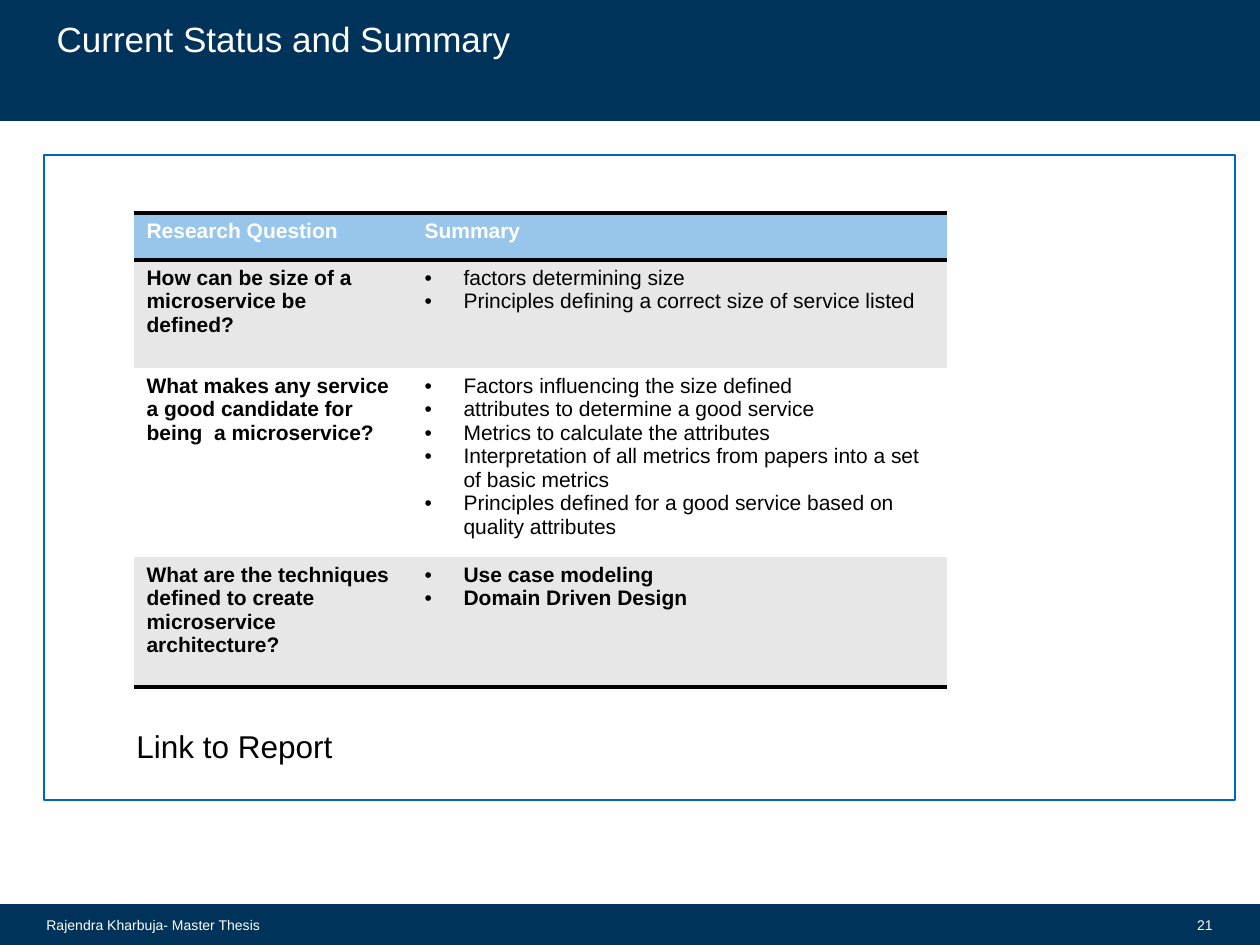
import pptx
import pptx.dml.color
import pptx.enum.shapes
import pptx.enum.text
import pptx.oxml
import pptx.oxml.ns
import pptx.util

RGB = pptx.dml.color.RGBColor
ANCHOR = pptx.enum.text.MSO_ANCHOR
ALIGN = pptx.enum.text.PP_ALIGN

NAVY = RGB(0x00, 0x33, 0x59)
BLUE = RGB(0x00, 0x65, 0xBD)
SKY = RGB(0x98, 0xC6, 0xEA)
GREY = RGB(0xE7, 0xE7, 0xE7)
WHITE = RGB(0xFF, 0xFF, 0xFF)
BLACK = RGB(0x00, 0x00, 0x00)

PX_PER_INCH = 126
WIDTH, HEIGHT = 1260, 945
FONT = "Arial"
NAMESPACE = pptx.oxml.ns.nsdecls("a")

TITLE = "Current Status and Summary"
AUTHOR = "Rajendra Kharbuja- Master Thesis"
PAGE = "21"
REPORT = "Link to Report"
HEADINGS = ("Research Question", "Summary")
# question, summary points, whether the points are bold
FINDINGS = [
    ("How can be size of a microservice be defined?",
     ["factors determining size",
      "Principles defining a correct size of service listed"], False),
    ("What makes any service a good candidate for being  a microservice?",
     ["Factors influencing the size defined",
      "attributes to determine a good service",
      "Metrics to calculate the attributes",
      "Interpretation of all metrics from papers into a set of basic metrics",
      "Principles defined for a good service based on quality attributes"], False),
    ("What are the techniques defined to create microservice architecture?",
     ["Use case modeling", "Domain Driven Design"], True),
]
TABLE_LEFT, TABLE_TOP = 134, 213
COLUMN_WIDTHS = (278, 535)
ROW_HEIGHTS = (47, 108, 177, 130)
BULLET_INDENT = 39


def px(length):
    return round(length * pptx.util.Inches(1) / PX_PER_INCH)


def box(*lengths):
    return [px(length) for length in lengths]


def write(paragraph, words, size, color, bold=False):
    run = paragraph.add_run()
    run.text = words
    run.font.name = FONT
    run.font.size = pptx.util.Pt(size)
    run.font.bold = bold
    run.font.color.rgb = color
    # The paragraph end takes the size too, so it cannot stretch the line
    paragraph._p.append(pptx.oxml.parse_xml(
        f'<a:endParaRPr {NAMESPACE} sz="{size * 100}"/>'))


def add_rectangle(slide, place, line_color, line_width, fill=None):
    rectangle = slide.shapes.add_shape(
        pptx.enum.shapes.MSO_SHAPE.RECTANGLE, *box(*place))
    rectangle.shadow.inherit = False
    if fill is None:
        rectangle.fill.background()
    else:
        rectangle.fill.solid()
        rectangle.fill.fore_color.rgb = fill
    rectangle.line.color.rgb = line_color
    rectangle.line.width = pptx.util.Pt(line_width)


def add_label(slide, place, words, size, color, anchor=ANCHOR.MIDDLE,
              align=ALIGN.LEFT):
    frame = slide.shapes.add_textbox(*box(*place)).text_frame
    frame.word_wrap = True
    frame.vertical_anchor = anchor
    frame.paragraphs[0].alignment = align
    write(frame.paragraphs[0], words, size, color)


def add_bullet(paragraph):
    properties = paragraph._p.get_or_add_pPr()
    properties.set("marL", str(px(BULLET_INDENT)))
    properties.set("indent", str(-px(BULLET_INDENT)))
    for tag in (f'buFont {NAMESPACE} typeface="{FONT}"',
                f'buChar {NAMESPACE} char="•"'):
        properties.append(pptx.oxml.parse_xml(f"<a:{tag}/>"))


def style_cell(cell, fill, ruled_sides):
    """Fill the cell and rule only the given sides (T, B) in black."""
    cell.fill.solid()
    cell.fill.fore_color.rgb = fill
    properties = cell._tc.get_or_add_tcPr()
    for position, side in enumerate("LRTB"):
        paint = (f'<a:solidFill><a:srgbClr val="{BLACK}"/></a:solidFill>'
                 if side in ruled_sides else "<a:noFill/>")
        properties.insert(position, pptx.oxml.parse_xml(
            f'<a:ln{side} {NAMESPACE} '
            f'w="{pptx.util.Pt(2)}">{paint}</a:ln{side}>'))


def add_findings(slide):
    table = slide.shapes.add_table(
        len(ROW_HEIGHTS), len(COLUMN_WIDTHS),
        *box(TABLE_LEFT, TABLE_TOP, sum(COLUMN_WIDTHS), sum(ROW_HEIGHTS))).table
    for column, width in zip(table.columns, COLUMN_WIDTHS):
        column.width = px(width)
    for row, height in zip(table.rows, ROW_HEIGHTS):
        row.height = px(height)

    for column, heading in enumerate(HEADINGS):
        cell = table.cell(0, column)
        style_cell(cell, SKY, "TB")
        write(cell.text_frame.paragraphs[0], heading, 12, WHITE, True)

    for row, (question, points, bold) in enumerate(FINDINGS, 1):
        question_cell, summary_cell = table.cell(row, 0), table.cell(row, 1)
        sides = {1: "T", len(FINDINGS): "B"}.get(row, "")
        for cell in (question_cell, summary_cell):
            style_cell(cell, GREY if row % 2 else WHITE, sides)
        write(question_cell.text_frame.paragraphs[0], question, 12, BLACK, True)
        summary = summary_cell.text_frame
        for index, point in enumerate(points):
            paragraph = summary.add_paragraph() if index else summary.paragraphs[0]
            add_bullet(paragraph)
            write(paragraph, point, 12, BLACK, bold)


def place_title(slide):
    title = slide.shapes.title
    title.left, title.top, title.width, title.height = box(44, 11, 1038, 49)
    frame = title.text_frame
    frame.word_wrap = True
    frame.auto_size = pptx.enum.text.MSO_AUTO_SIZE.NONE
    frame.vertical_anchor = ANCHOR.BOTTOM
    frame.margin_top = frame.margin_bottom = 0
    frame.paragraphs[0].alignment = ALIGN.LEFT
    write(frame.paragraphs[0], TITLE, 20, WHITE)
    # Bring the title in front of the header bar
    title.element.getparent().append(title.element)


def main():
    deck = pptx.Presentation()
    deck.slide_width, deck.slide_height = box(WIDTH, HEIGHT)
    slide = deck.slides.add_slide(deck.slide_layouts.get_by_name("Title Only"))

    for top, height in ((905, 40), (0, 120)):
        add_rectangle(slide, (0, top, WIDTH, height), NAVY, 1.35, NAVY)
    place_title(slide)
    add_label(slide, (34, 905, 268, 40), AUTHOR, 8, WHITE)
    add_label(slide, (1165, 905, 60, 40), PAGE, 8, WHITE, align=ALIGN.RIGHT)
    add_findings(slide)
    add_rectangle(slide, (44, 155, 1191, 645), BLUE, 0.75)
    add_label(slide, (124, 721, 1032, 51), REPORT, 18, BLACK, ANCHOR.TOP)
    deck.save("out.pptx")


if __name__ == "__main__":
    main()
